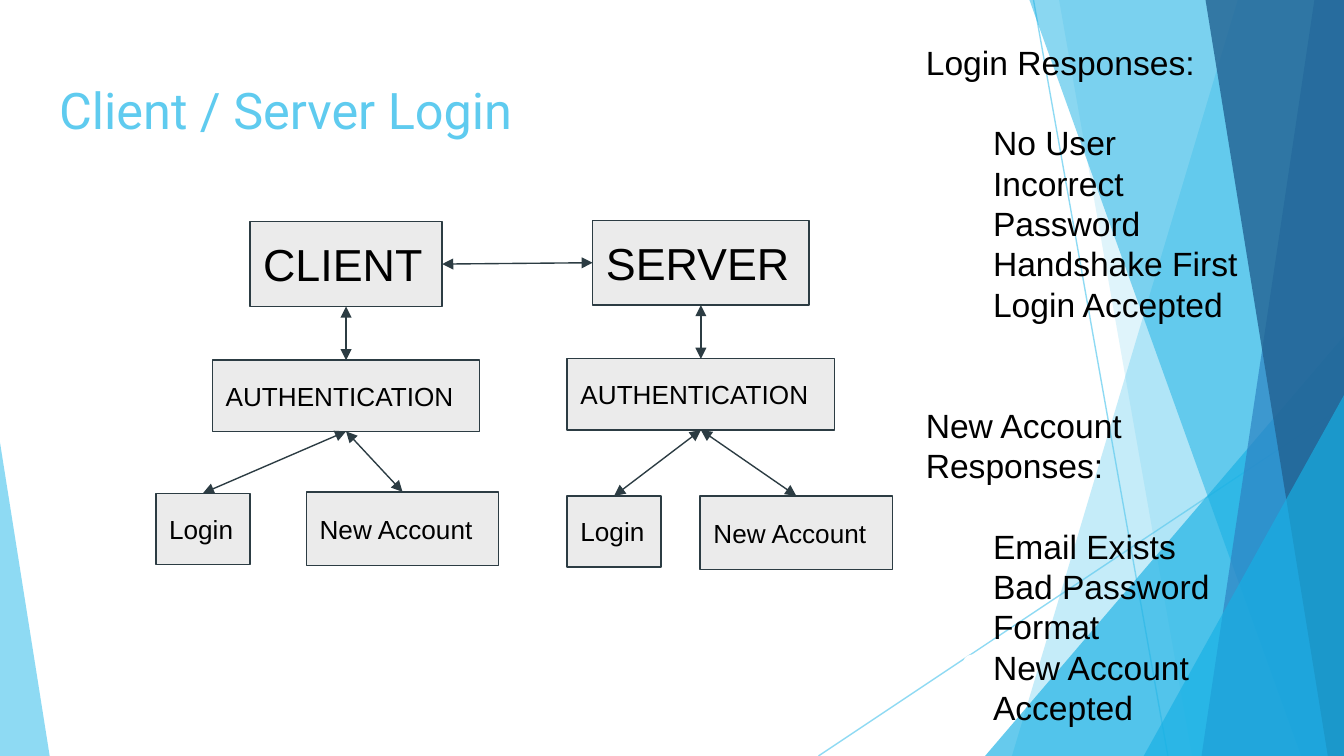
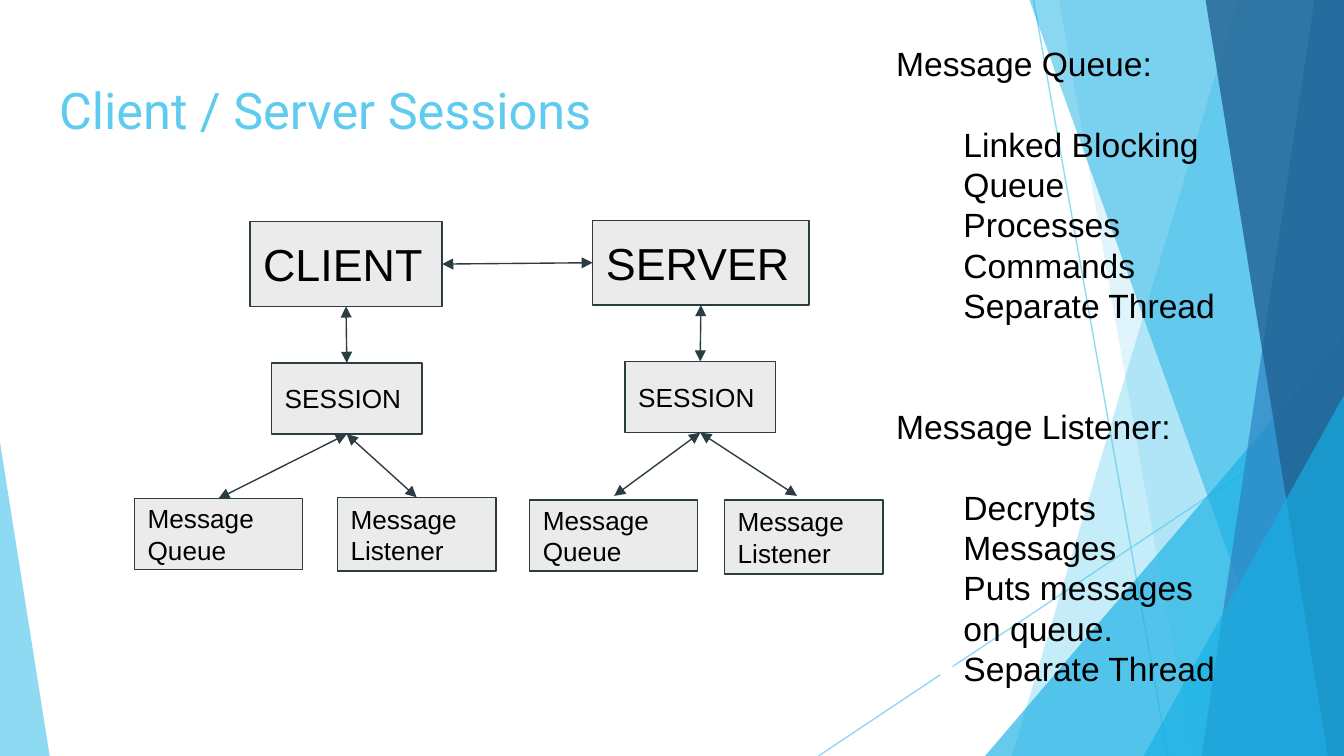
"""Build two client / server diagram slides on a shared faceted layout."""
from dataclasses import dataclass
from typing import Optional

from lxml import etree
from pptx import Presentation
from pptx.dml.color import RGBColor
from pptx.enum.shapes import MSO_CONNECTOR, MSO_SHAPE
from pptx.enum.text import MSO_ANCHOR, PP_ALIGN
from pptx.oxml.ns import qn
from pptx.util import Emu, Inches, Pt

RECTANGLE = MSO_SHAPE.RECTANGLE
TRIANGLE = MSO_SHAPE.ISOSCELES_TRIANGLE
STRAIGHT = MSO_CONNECTOR.STRAIGHT
TOP, MIDDLE = MSO_ANCHOR.TOP, MSO_ANCHOR.MIDDLE
LEFT = PP_ALIGN.LEFT

COLUMNS, ROWS = 100, 100 * 9 / 16
CELL = Inches(0.1)
LINE_WIDTH = Pt(0.75)
LEADING = 1.2
TITLE_ONLY = 5
COLOURS = {
    "sky": "5FCBEF",
    "cyan": "17B0E4",
    "blue": "2E83C3",
    "navy": "226292",
    "box": "EBEBEB",
    "outline": "2C3C43",
    "text": "000000",
    "paper": "FFFFFF",
}
FRAME_FORMAT = {
    "margin_left": CELL,
    "margin_right": CELL,
    "margin_top": CELL,
    "margin_bottom": CELL,
    "word_wrap": True,
}
Point = tuple[float, float]


@dataclass(frozen=True)
class Facet:
    """A translucent band from a slanted left edge to the right slide edge."""
    top_column: float
    bottom_column: float
    colour: str
    opacity: int


@dataclass(frozen=True)
class Wedge:
    """A translucent triangle standing on the bottom slide edge."""
    left: float
    top: float
    width: float
    apex: float
    colour: str
    opacity: int


@dataclass(frozen=True)
class Ray:
    """A thin translucent line across the facets."""
    start: Point
    end: Point


@dataclass(frozen=True)
class Box:
    """A labelled box, placed in columns and rows."""
    text: str
    left: float
    top: float
    width: float
    height: float
    size: int = 14

    @property
    def top_centre(self) -> Point:
        """Return the middle of the top edge."""
        return self.left + self.width / 2, self.top

    @property
    def bottom_centre(self) -> Point:
        """Return the middle of the bottom edge."""
        return self.left + self.width / 2, self.top + self.height

    @property
    def left_middle(self) -> Point:
        """Return the middle of the left edge."""
        return self.left, self.top + self.height / 2

    @property
    def right_middle(self) -> Point:
        """Return the middle of the right edge."""
        return self.left + self.width, self.top + self.height / 2


@dataclass(frozen=True)
class Branch:
    """A root box, its hub below, and the leaves the hub leads to."""
    root: Box
    hub: Box
    leaves: tuple[Box, ...]
    tips: Optional[tuple[Point, ...]] = None


@dataclass(frozen=True)
class Section:
    """A heading with its list items."""
    heading: str
    items: tuple[str, ...]


@dataclass(frozen=True)
class DiagramSlide:
    """The content of one slide."""
    title: str
    branches: tuple[Branch, Branch]
    list_corner: Point
    sections: tuple[Section, ...]


BACKDROP = (
    Ray((76.9, 0), (86.9, ROWS)),
    Ray((COLUMNS, 30.2), (60.9, ROWS)),
    Facet(92.1, 75.3, "sky", 36),
    Facet(78.8, 88.7, "sky", 20),
    Wedge(73.3, 25, 26.7, 1, "cyan", 66),
    Facet(76.6, 96.8, "cyan", 50),
    Facet(97.8, 89.4, "blue", 70),
    Facet(89.7, 98.8, "navy", 80),
    Wedge(85.1, 29.4, 14.9, 1, "cyan", 66),
    Wedge(0, 32.9, 3.7, 0, "sky", 70),
)
CLIENT = Box("CLIENT", 18.6, 16.5, 14.3, 6.3, 24)
SERVER = Box("SERVER", 44.1, 16.4, 16.1, 6.3, 24)
SLIDES = (
    DiagramSlide(
        "Client / Server Login",
        (
            Branch(CLIENT, Box("AUTHENTICATION", 15.8, 26.8, 19.9, 5.3),
                   (Box("Login", 11.6, 36.7, 7, 5.3),
                    Box("New Account", 22.8, 36.6, 14.3, 5.5))),
            Branch(SERVER, Box("AUTHENTICATION", 42.2, 26.7, 19.9, 5.3),
                   (Box("Login", 42.2, 36.9, 7, 5.3),
                    Box("New Account", 52.1, 36.9, 14.3, 5.5))),
        ),
        (67.9, 2.1),
        (
            Section("Login Responses:", ("No User", "Incorrect Password",
                                         "Handshake First", "Login Accepted")),
            Section("New Account Responses:", ("Email Exists", "Bad Password Format",
                                               "New Account Accepted")),
        ),
    ),
    DiagramSlide(
        "Client / Server Sessions",
        (
            Branch(CLIENT, Box("SESSION", 20.2, 27, 11.2, 5.3),
                   (Box("Message Queue", 10, 37.1, 12.5, 5.3),
                    Box("Message Listener", 25.1, 37, 11.8, 5.5))),
            Branch(SERVER, Box("SESSION", 46.5, 26.9, 11.2, 5.3),
                   (Box("Message Queue", 39.4, 37.2, 12.5, 5.3),
                    Box("Message Listener", 53.9, 37.2, 11.8, 5.5)),
                   ((45.7, 36.9), (59.3, 36.9))),
        ),
        (65.7, 2.2),
        (
            Section("Message Queue:", ("Linked Blocking Queue", "Processes Commands",
                                       "Separate Thread")),
            Section("Message Listener:", ("Decrypts Messages", "Puts messages on queue.",
                                          "Separate Thread")),
        ),
    ),
)


def cells(*counts: float) -> list[Emu]:
    """Turn counts of columns or rows into lengths."""
    return [Emu(round(count * CELL)) for count in counts]


def colour_of(name: str) -> RGBColor:
    """Look up a named colour."""
    return RGBColor.from_string(COLOURS[name])


def apply_format(target, values: dict) -> None:
    """Set each attribute of the target from the given values."""
    for name, value in values.items():
        setattr(target, name, value)


def set_opacity(shape, percent: int) -> None:
    """Make every explicit colour of the shape translucent."""
    for colour in list(shape.element.iter(qn("a:srgbClr"))):
        etree.SubElement(colour, qn("a:alpha"), val=str(percent * 1000))


def write(paragraph, text: str, size: int, font: str = "Arial", colour: str = "text") -> None:
    """Put one formatted run into a paragraph."""
    run = paragraph.add_run()
    run.text = text
    apply_format(run.font, {"size": Pt(size), "name": font, "bold": False})
    run.font.color.rgb = colour_of(colour)
    apply_format(paragraph, {"alignment": LEFT})


def draw_line(slide, start: Point, end: Point, colour: str):
    """Draw a straight line without a shadow."""
    line = slide.shapes.add_connector(STRAIGHT, *cells(*start, *end))
    line.line.color.rgb = colour_of(colour)
    line.line.width = LINE_WIDTH
    etree.SubElement(line.element.spPr, qn("a:effectLst"))
    return line


def draw_arrow(slide, start: Point, end: Point) -> None:
    """Draw a line with an arrowhead at each end."""
    arrow = draw_line(slide, start, end, "outline")
    outline = arrow.element.spPr.find(qn("a:ln"))
    for tag in ("a:headEnd", "a:tailEnd"):
        etree.SubElement(outline, qn(tag), type="triangle")


def draw_backdrop_part(slide, part: Ray | Facet | Wedge):
    """Draw one part of the backdrop and return its shape."""
    if isinstance(part, Ray):
        shape = draw_line(slide, part.start, part.end, "sky")
        set_opacity(shape, 70)
        return shape
    if isinstance(part, Facet):
        corners = ((COLUMNS, 0), (COLUMNS, ROWS), (part.bottom_column, ROWS))
        builder = slide.shapes.build_freeform(*cells(part.top_column, 0))
        builder.add_line_segments([cells(*corner) for corner in corners], close=True)
        shape = builder.convert_to_shape()
    else:
        frame = cells(part.left, part.top, part.width, ROWS - part.top)
        shape = slide.shapes.add_shape(TRIANGLE, *frame)
        shape.adjustments[0] = part.apex
    shape.shadow.inherit = False
    shape.fill.solid()
    shape.fill.fore_color.rgb = colour_of(part.colour)
    shape.line.fill.background()
    set_opacity(shape, part.opacity)
    return shape


def move_backdrop_to_layout(slide, layout) -> None:
    """Draw the backdrop and hand its shapes over to the layout."""
    for placeholder in list(layout.placeholders):
        if placeholder.placeholder_format.idx >= 10:
            layout.shapes.element.remove(placeholder.element)
    for part in BACKDROP:
        layout.shapes.element.append(draw_backdrop_part(slide, part).element)


def draw_title(slide, text: str) -> None:
    """Place and format the title placeholder."""
    title = slide.shapes.title
    names = ("left", "top", "width", "height")
    apply_format(title, dict(zip(names, cells(3.4, 4.9, 93.2, 6.3))))
    apply_format(title.text_frame, FRAME_FORMAT | {"vertical_anchor": TOP})
    write(title.text_frame.paragraphs[0], text, 27, "Roboto", "sky")


def draw_box(slide, box: Box) -> None:
    """Draw a labelled box."""
    shape = slide.shapes.add_shape(RECTANGLE, *cells(box.left, box.top, box.width, box.height))
    shape.shadow.inherit = False
    shape.fill.solid()
    shape.fill.fore_color.rgb = colour_of("box")
    shape.line.color.rgb = colour_of("outline")
    shape.line.width = LINE_WIDTH
    apply_format(shape.text_frame, FRAME_FORMAT | {"vertical_anchor": MIDDLE})
    paragraph = shape.text_frame.paragraphs[0]
    paragraph.line_spacing = Pt(box.size * LEADING)
    write(paragraph, box.text, box.size)


def draw_branch(slide, branch: Branch) -> None:
    """Draw the boxes of a branch and the arrows between them."""
    for box in (branch.root, branch.hub, *branch.leaves):
        draw_box(slide, box)
    draw_arrow(slide, branch.root.bottom_centre, branch.hub.top_centre)
    for tip in branch.tips or [leaf.top_centre for leaf in branch.leaves]:
        draw_arrow(slide, branch.hub.bottom_centre, tip)


def add_bullet(paragraph) -> None:
    """Give a paragraph a hanging bullet in the paper colour."""
    properties = paragraph._p.get_or_add_pPr()
    properties.set("marL", str(Inches(0.5)))
    properties.set("indent", str(-Inches(0.25)))
    bullet_colour = etree.SubElement(properties, qn("a:buClr"))
    etree.SubElement(bullet_colour, qn("a:srgbClr"), val=COLOURS["paper"])
    etree.SubElement(properties, qn("a:buChar"), char="●")


def draw_sections(slide, corner: Point, sections: tuple[Section, ...]) -> None:
    """Write headings and lists, set apart by paragraph spacing."""
    frame = slide.shapes.add_textbox(*cells(*corner, 27.2, 35.1)).text_frame
    apply_format(frame, FRAME_FORMAT | {"vertical_anchor": TOP})
    line = 18 * LEADING
    for number, section in enumerate(sections):
        for index, text in enumerate((section.heading, *section.items)):
            first = number == index == 0
            paragraph = frame.paragraphs[0] if first else frame.add_paragraph()
            blank_lines = {0: 2 * number, 1: 1}.get(index, 0)
            apply_format(paragraph, {"line_spacing": Pt(line),
                                     "space_before": Pt(blank_lines * line)})
            write(paragraph, text, 18)
            if index:
                add_bullet(paragraph)


def main() -> None:
    """Build and save the presentation."""
    presentation = Presentation()
    presentation.slide_width, presentation.slide_height = cells(COLUMNS, ROWS)
    layout = presentation.slide_layouts[TITLE_ONLY]
    for number, content in enumerate(SLIDES):
        slide = presentation.slides.add_slide(layout)
        if number == 0:
            move_backdrop_to_layout(slide, layout)
        draw_title(slide, content.title)
        client, server = content.branches
        for branch in content.branches:
            draw_branch(slide, branch)
        draw_arrow(slide, client.root.right_middle, server.root.left_middle)
        draw_sections(slide, content.list_corner, content.sections)
    presentation.save("out.pptx")


main()
